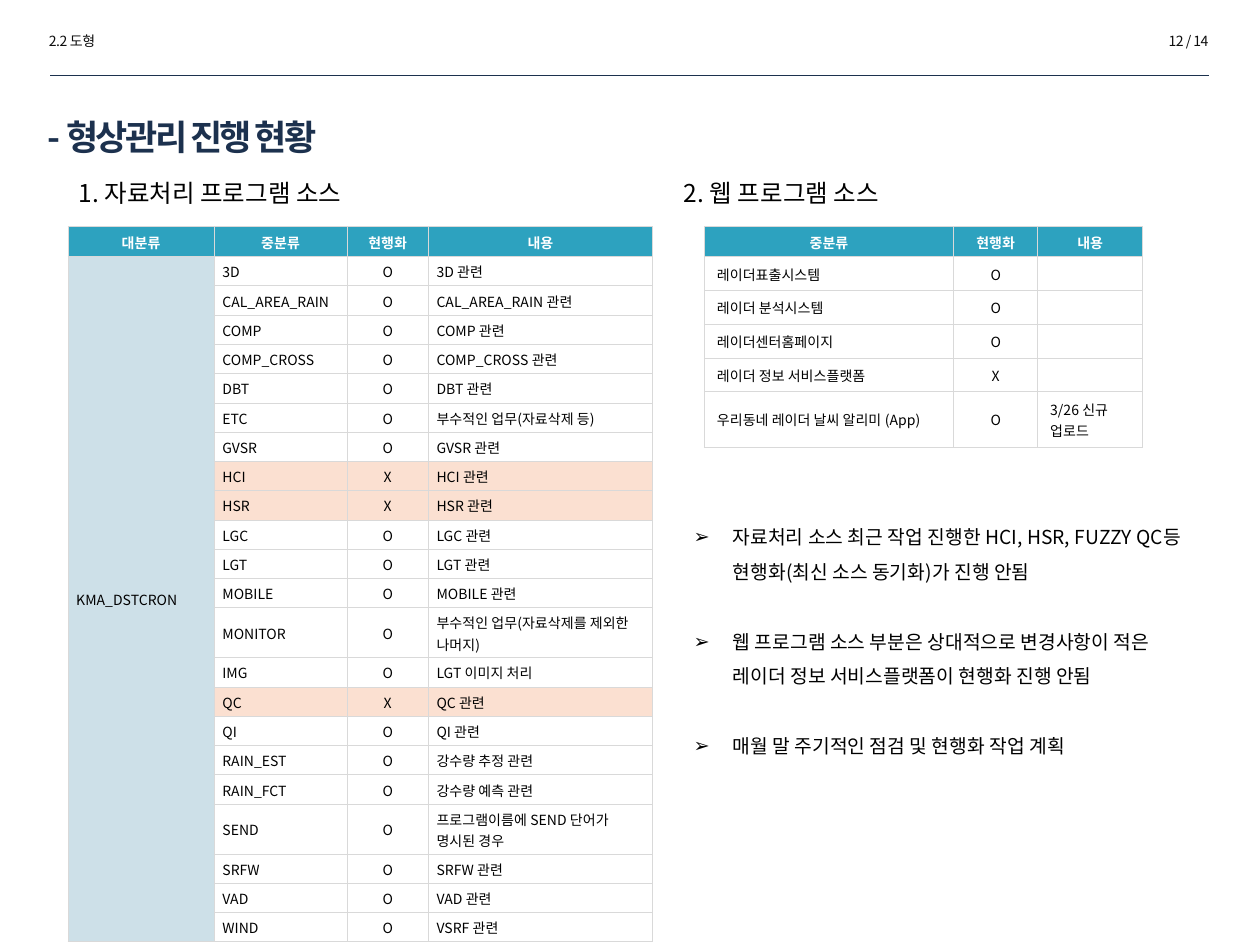
from lxml import etree
from pptx import Presentation, util as u
from pptx.dml.color import RGBColor
from pptx.enum import shapes, text
from pptx.oxml.ns import qn

SECTION, PAGE = "2.2 도형", "12 / 14"
TITLE = "- 형상관리 진행 현황"
SOURCE_HEADING, WEB_HEADING = "1. 자료처리 프로그램 소스", "2. 웹 프로그램 소스"
CATEGORY = "KMA_DSTCRON"
SOURCE_HEAD = ("대분류", "중분류", "현행화", "내용")
SOURCES = [
    ("3D", "O", "3D 관련"),
    ("CAL_AREA_RAIN", "O", "CAL_AREA_RAIN 관련"),
    ("COMP", "O", "COMP 관련"),
    ("COMP_CROSS", "O", "COMP_CROSS 관련"),
    ("DBT", "O", "DBT 관련"),
    ("ETC", "O", "부수적인 업무(자료삭제 등)"),
    ("GVSR", "O", "GVSR 관련"),
    ("HCI", "X", "HCI 관련"),
    ("HSR", "X", "HSR 관련"),
    ("LGC", "O", "LGC 관련"),
    ("LGT", "O", "LGT 관련"),
    ("MOBILE", "O", "MOBILE 관련"),
    ("MONITOR", "O", "부수적인 업무(자료삭제를 제외한 나머지)"),
    ("IMG", "O", "LGT 이미지 처리"),
    ("QC", "X", "QC 관련"),
    ("QI", "O", "QI 관련"),
    ("RAIN_EST", "O", "강수량 추정 관련"),
    ("RAIN_FCT", "O", "강수량 예측 관련"),
    ("SEND", "O", "프로그램이름에 SEND 단어가 명시된 경우"),
    ("SRFW", "O", "SRFW 관련"),
    ("VAD", "O", "VAD 관련"),
    ("WIND", "O", "VSRF 관련"),
]
WEB_HEAD = ("중분류", "현행화", "내용")
WEB_SYSTEMS = [
    ("레이더표출시스템", "O", ""),
    ("레이더 분석시스템", "O", ""),
    ("레이더센터홈페이지", "O", ""),
    ("레이더 정보 서비스플랫폼", "X", ""),
    ("우리동네 레이더 날씨 알리미 (App)", "O", "3/26 신규 업로드"),
]
TWO_LINE_ENTRIES = {"MONITOR", "SEND", "우리동네 레이더 날씨 알리미 (App)"}
FINDINGS = [
    "자료처리 소스 최근 작업 진행한 HCI, HSR, FUZZY QC등 현행화(최신 소스 동기화)가 진행 안됨",
    "웹 프로그램 소스 부분은 상대적으로 변경사항이 적은 레이더 정보 서비스플랫폼이 현행화 진행 안됨",
    "매월 말 주기적인 점검 및 현행화 작업 계획",
]

THEME = {
    "font": "Noto Sans CJK KR",
    "header": "2DA2BF", "category": "CDE0E8", "outdated": "FBE0D1",
    "border": "D9D9D9", "rule": "1C314E",
    "margin_note": {"size": 8, "color": "0D0D0D", "spc": -30},
    "title": {"size": 20, "color": "1C314E", "bold": True, "spc": -150},
    "heading": {"size": 14, "color": "000000"},
    "finding": {"size": 11, "color": "000000"},
    "column_head": {"size": 8, "color": "FFFFFF", "bold": True},
    "entry": {"size": 8, "color": "000000", "bold": False},
}
WIDTH, HEIGHT = u.Inches(10), u.Inches(7.5)
TABLE_TOP, HEAD_ROW = 24, 3.15
SOURCE_ROW = {1: 3.1, 2: 5.29}
WEB_ROW = {1: 3.58, 2: 5.85}
CENTER, LEFT, RIGHT = text.PP_ALIGN.CENTER, text.PP_ALIGN.LEFT, text.PP_ALIGN.RIGHT
MIDDLE, BOTTOM, TOP = (text.MSO_ANCHOR.MIDDLE, text.MSO_ANCHOR.BOTTOM,
                       text.MSO_ANCHOR.TOP)
TIGHT = {"margin_left": u.Pt(4.7), "margin_right": u.Pt(4.7),
         "margin_top": u.Pt(2.3), "margin_bottom": u.Pt(2.3)}


def across(share):
    return round(WIDTH * share / 100)


def down(share):
    return round(HEIGHT * share / 100)


def apply(target, **values):
    for name, value in values.items():
        setattr(target, name, value)


def place(shape, left, top, width, height):
    apply(shape, left=across(left), top=down(top),
          width=across(width), height=down(height))


def write(paragraph, words, style, **layout):
    apply(paragraph, **layout)
    if not words:
        etree.SubElement(paragraph._p, qn("a:endParaRPr"), sz=str(style["size"] * 100))
        return
    run = paragraph.add_run()
    run.text = words
    apply(run.font, size=u.Pt(style["size"]), bold=style.get("bold"), name=THEME["font"])
    run.font.color.rgb = RGBColor.from_string(style["color"])
    properties = run._r.get_or_add_rPr()
    etree.SubElement(properties, qn("a:ea"), typeface=THEME["font"])
    properties.set("kern", "0")
    if "spc" in style:
        properties.set("spc", str(style["spc"]))


def add_label(slide, words, style, area, align=LEFT):
    label = slide.shapes.add_textbox(0, 0, 0, 0)
    place(label, *area)
    apply(label.text_frame, word_wrap=True,
          auto_size=text.MSO_AUTO_SIZE.SHAPE_TO_FIT_TEXT)
    write(label.text_frame.paragraphs[0], words, THEME[style], alignment=align)


def border(cell):
    properties = cell._tc.get_or_add_tcPr()
    for side in ("lnL", "lnR", "lnT", "lnB"):
        line = etree.SubElement(properties, qn(f"a:{side}"), w=str(u.Pt(0.5)))
        fill = etree.SubElement(line, qn("a:solidFill"))
        etree.SubElement(fill, qn("a:srgbClr"), val=THEME["border"])


def add_status_table(slide, left, columns, head, rows, row_shares, fill_of, insets):
    grid = [head, *rows]
    heights = [HEAD_ROW] + [row_shares[1 if TWO_LINE_ENTRIES.isdisjoint(row) else 2]
                            for row in rows]
    table = slide.shapes.add_table(
        len(grid), len(head), across(left), down(TABLE_TOP),
        across(sum(columns)), down(sum(heights))).table
    table.horz_banding = False
    for column, share in zip(table.columns, columns):
        column.width = across(share)
    for row, share in zip(table.rows, heights):
        row.height = down(share)
    for r, entries in enumerate(grid):
        for c, words in enumerate(entries):
            cell = table.cell(r, c)
            border(cell)
            fill = THEME["header"] if r == 0 else fill_of(entries, c)
            if fill:
                cell.fill.solid()
                cell.fill.fore_color.rgb = RGBColor.from_string(fill)
            else:
                cell.fill.background()
            apply(cell, vertical_anchor=MIDDLE if r else BOTTOM,
                  **(insets if r else TIGHT))
            centred = r == 0 or head[c] == "현행화"
            write(cell.text_frame.paragraphs[0], words,
                  THEME["entry" if r else "column_head"],
                  alignment=CENTER if centred else LEFT,
                  line_spacing=1.04 if r else 1.03)
    return table


def source_fill(entries, column):
    if column == 0:
        return THEME["category"]
    return THEME["outdated"] if entries[2] == "X" else None


def add_findings(body):
    place(body, 54.05, 53.73, 41.7, 27.2)
    apply(body.text_frame, word_wrap=True, auto_size=text.MSO_AUTO_SIZE.NONE,
          vertical_anchor=TOP)
    indents = {"marL": u.Inches(0.31), "indent": -u.Inches(0.31)}
    for i, finding in enumerate(FINDINGS):
        paragraph = body.text_frame.add_paragraph() if i else body.text_frame.paragraphs[0]
        properties = paragraph._p.get_or_add_pPr()
        for name, value in indents.items():
            properties.set(name, str(value))
        etree.SubElement(properties, qn("a:buChar"), char="➢")
        write(paragraph, finding, THEME["finding"], alignment=LEFT,
              line_spacing=1.5, space_before=u.Pt(20 if i else 0))


def main():
    deck = Presentation()
    apply(deck, slide_width=WIDTH, slide_height=HEIGHT)
    slide = deck.slides.add_slide(deck.slide_layouts[1])
    title, body = slide.placeholders

    add_label(slide, SECTION, "margin_note", (2.9, 2.8, 17.3, 3.2))
    add_label(slide, PAGE, "margin_note", (79.6, 2.8, 17.3, 3.2), RIGHT)
    rule = slide.shapes.add_connector(shapes.MSO_CONNECTOR.STRAIGHT, across(4), down(8),
                                      across(95.95), down(8))
    rule.line.color.rgb = RGBColor.from_string(THEME["rule"])
    rule.line.width = u.Pt(0.25)
    etree.SubElement(rule._element.spPr, qn("a:effectLst"))

    place(title, 2.8, 10.2, 76.5, 8.53)
    apply(title.text_frame, vertical_anchor=MIDDLE, auto_size=text.MSO_AUTO_SIZE.NONE)
    write(title.text_frame.paragraphs[0], TITLE, THEME["title"], alignment=LEFT)
    add_label(slide, SOURCE_HEADING, "heading", (5.25, 18.2, 44.1, 4.53))
    add_label(slide, WEB_HEADING, "heading", (53.3, 18.2, 36.2, 4.53))

    source_rows = [("" if i else CATEGORY, *row) for i, row in enumerate(SOURCES)]
    sources = add_status_table(slide, 5.4, (11.6, 10.55, 6.45, 17.8), SOURCE_HEAD,
                               source_rows, SOURCE_ROW, source_fill, TIGHT)
    sources.cell(1, 0).merge(sources.cell(len(SOURCES), 0))
    add_status_table(slide, 55.9, (19.8, 6.65, 8.35), WEB_HEAD, WEB_SYSTEMS,
                     WEB_ROW, lambda entries, column: None, {})
    add_findings(body)
    deck.save("out.pptx")


if __name__ == "__main__":
    main()
